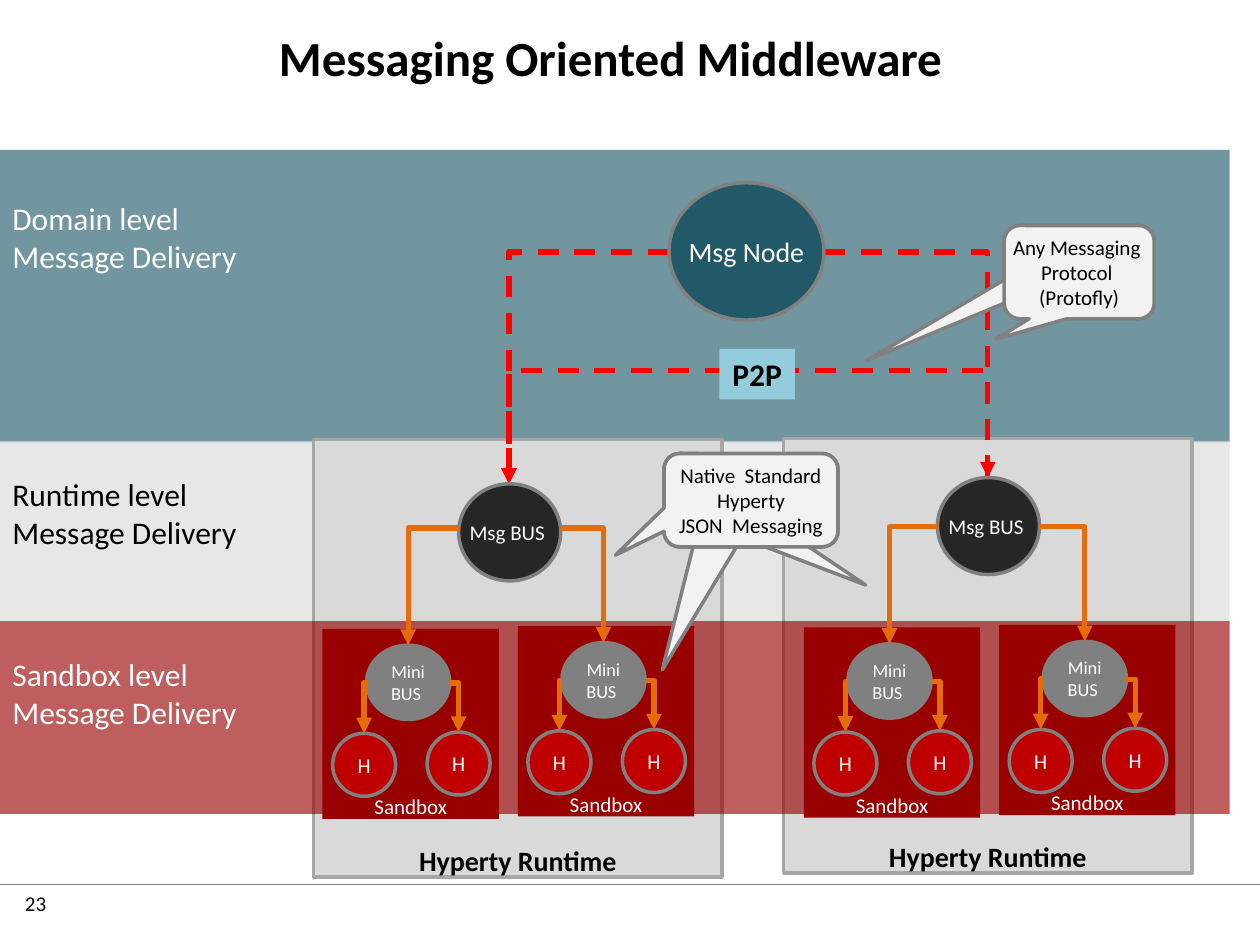
from dataclasses import dataclass

import pptx
import pptx.dml.color
import pptx.enum.dml
import pptx.enum.shapes
import pptx.enum.text
import pptx.oxml.ns
import pptx.util
from lxml import etree

Inches = pptx.util.Inches
SHAPE = pptx.enum.shapes.MSO_SHAPE
ELBOW = pptx.enum.shapes.MSO_CONNECTOR.ELBOW
ALIGN = pptx.enum.text.PP_ALIGN
ANCHOR = pptx.enum.text.MSO_ANCHOR
qn = pptx.oxml.ns.qn


@dataclass(frozen=True)
class Theme:
    """Colours, font and type sizes of the slide."""
    font: str = "Calibri"
    black: str = "000000"
    white: str = "FFFFFF"
    teal: str = "215968"
    light: str = "D9D9D9"
    dark_red: str = "990000"
    red: str = "C00000"
    signal: str = "FF0000"
    orange: str = "E46C0A"
    grey: str = "808080"
    edge: str = "A6A6A6"
    bus: str = "262626"
    callout: str = "F2F2F2"
    p2p: str = "93CDDD"
    title: float = 28
    level: float = 18
    node: float = 16
    body: float = 12
    mini: float = 10.5


T = Theme()


def rgb(value):
    """Turn a hex string into a colour."""
    return pptx.dml.color.RGBColor.from_string(value)


def write(sp, text, size=T.body, color=T.black, bold=False, align=ALIGN.CENTER,
          anchor=ANCHOR.MIDDLE, inset=0, wrap=False):
    """Write text into a shape, one paragraph per line."""
    tf = sp.text_frame
    tf.word_wrap, tf.vertical_anchor = wrap, anchor
    if inset is not None:
        tf.margin_left = tf.margin_right = tf.margin_top = tf.margin_bottom = Inches(inset)
    for i, line in enumerate(text.split("\n")):
        p = tf.paragraphs[0] if i == 0 else tf.add_paragraph()
        p.alignment = align
        r = p.add_run()
        r.text = line
        r.font.name, r.font.size, r.font.bold = T.font, pptx.util.Pt(size), bold
        r.font.color.rgb = rgb(color)


def label(s, box, text, **fmt):
    """Add a text box."""
    sp = s.shapes.add_textbox(*map(Inches, box))
    write(sp, text, **{"align": ALIGN.LEFT, "anchor": ANCHOR.TOP, "inset": None, "wrap": True, **fmt})


def shape(s, kind, box, fill, line=None, alpha=None, adj=(), text=None, **fmt):
    """Add a filled preset shape with optional outline and text."""
    sp = s.shapes.add_shape(kind, *map(Inches, box))
    sp.shadow.inherit = False
    sp.fill.solid()
    sp.fill.fore_color.rgb = rgb(fill)
    if alpha:
        color = sp.fill._xPr.find(".//" + qn("a:srgbClr"))
        etree.SubElement(color, qn("a:alpha"), val=str(alpha * 1000))
    if line:
        sp.line.color.rgb = rgb(line)
        sp.line.width = pptx.util.Pt(2)
    else:
        sp.line.fill.background()
    for i, value in enumerate(adj):
        sp.adjustments[i] = value
    if text:
        write(sp, text, **fmt)
    return sp


def connector(s, kind, start, end, color, width=3.0, dash=False, arrow=None):
    """Add a connector with an optional arrowhead."""
    c = s.shapes.add_connector(kind, *map(Inches, (*start, *end)))
    c.line.color.rgb = rgb(color)
    c.line.width = pptx.util.Pt(width)
    if dash:
        c.line.dash_style = pptx.enum.dml.MSO_LINE.DASH
    if arrow:
        etree.SubElement(c.line._get_or_add_ln(), qn(arrow), type="triangle")
    etree.SubElement(c._element.spPr, qn("a:effectLst"))
    return c


def bend(s, start, end, color, dash=False):
    """Add an arrow that runs sideways and then down."""
    c = connector(s, ELBOW, start, end, color, dash=dash, arrow="a:tailEnd")
    c._element.spPr.find(qn("a:prstGeom")).set("prst", "bentConnector2")


def bridge(s, left, right, top):
    """Add a dashed connector rising from two feet to a shared top."""
    (x1, y1), (x2, y2) = left, right
    cx, cy, w, h = (x1 + x2) / 2, (y1 + y2) / 2, y1 - y2, x2 - x1
    c = connector(s, ELBOW, (cx + w / 2, cy + h / 2), (cx - w / 2, cy - h / 2),
                  T.signal, dash=True, arrow="a:headEnd")
    c._element.spPr.find(qn("a:xfrm")).set("rot", "5400000")
    guides = c._element.spPr.find(qn("a:prstGeom")).get_or_add_avLst()
    etree.SubElement(guides, qn("a:gd"), name="adj1", fmla=f"val {round((y1 - top) / w * 100000)}")


def sandbox(s, box):
    """Place a sandbox with its mini bus and two hyperties."""
    x, y = box[:2]
    shape(s, SHAPE.RECTANGLE, box, T.dark_red, text="Sandbox", color=T.white, anchor=ANCHOR.BOTTOM)
    shape(s, SHAPE.OVAL, (x + 0.35, y + 0.13, 0.66, 0.59), T.grey, T.grey,
          text="Mini\nBUS ", size=T.mini, color=T.white)
    for dx, dy, side in ((0.83, 0.82, 1.01), (0.08, 0.83, 0.35)):
        shape(s, SHAPE.OVAL, (x + dx, y + dy, 0.5, 0.5), T.red, T.grey, text="H", color=T.white)
        bend(s, (x + side, y + 0.43), (x + dx + 0.25, y + dy), T.orange)


def runtime(s, box, inset, bus):
    """Place the message bus and two sandboxes of a runtime."""
    x, y = box[:2]
    bx, by = bus
    shape(s, SHAPE.OVAL, (bx, by, 0.81, 0.77), T.bus, T.grey, text="Msg BUS ", color=T.white)
    for i, side in enumerate((bx, bx + 0.81)):
        left, top = x + inset + 1.55 * i, y + 1.5 - 0.02 * i
        sandbox(s, (left, top, 1.4, 1.51))
        bend(s, (side, y + 0.7), (left + 0.68, top + 0.13), T.orange)


def band(s, box, fill, text, color, top):
    """Place a translucent level band with its label."""
    shape(s, SHAPE.RECTANGLE, box, fill, alpha=63)
    return (box[0], top, 2.27, 0.71), text, color


def callout(s, box, tips, text):
    """Place a speech bubble whose tails point at several tips."""
    for i, tip in enumerate(tips):
        shape(s, SHAPE.ROUNDED_RECTANGULAR_CALLOUT, box, T.callout, T.grey, adj=(*tip, 0.167),
              text=text if i == len(tips) - 1 else None)


def domain(s, buses):
    """Place the message node and the dashed links to the buses."""
    feet = [(x + 0.4, y) for x, y in buses]
    for side, foot in zip((5.31, 6.54), feet):
        bend(s, (side, 2), foot, T.signal, dash=True)
    shape(s, SHAPE.OVAL, (5.31, 1.45, 1.23, 1.09), T.teal, T.grey,
          text="Msg Node", size=T.node, color=T.white)
    bridge(s, *feet, top=2.94)


def frame(s):
    """Place the title, the footer rule and the page number."""
    label(s, (0.1, 7.02, 0.8, 0.4), "23")
    connector(s, pptx.enum.shapes.MSO_CONNECTOR.STRAIGHT, (0, 7.02), (10, 7.02), T.grey, 0.75)
    label(s, (0.91, 0.19, 7.87, 0.52), "Messaging Oriented Middleware", size=T.title,
          bold=True, align=ALIGN.CENTER, anchor=ANCHOR.MIDDLE)


def main():
    """Build the slide and save it."""
    prs = pptx.Presentation()
    prs.slide_width, prs.slide_height = Inches(10), Inches(7.5)
    s = prs.slides.add_slide(prs.slide_layouts[6])
    panels = ((2.49, 3.49, 3.24, 3.47), (6.22, 3.48, 3.24, 3.45))
    buses = ((3.64, 3.84), (7.44, 3.79))
    frame(s)
    levels = [
        band(s, (0, 1.19, 9.76, 2.32), T.teal, "Domain level\nMessage Delivery", T.white, 1.53),
        band(s, (0, 3.5, 9.76, 1.43), T.light, "Runtime level\nMessage Delivery", T.black, 3.72)]
    for box in panels:
        shape(s, SHAPE.RECTANGLE, box, T.light, T.edge, text="Hyperty Runtime",
              size=T.node, bold=True, anchor=ANCHOR.BOTTOM)
    levels.append(
        band(s, (0, 4.93, 9.76, 1.53), T.dark_red, "Sandbox level\nMessage Delivery", T.white, 5.15))
    for box, text, color in levels:
        label(s, box, text, size=T.level, color=color)
    domain(s, buses)
    for box, inset, bus in zip(panels, (0.07, 0.16), buses):
        runtime(s, box, inset, bus)
    callout(s, (5.27, 3.6, 1.38, 0.74), ((-0.51, 1.82), (0.66, 0.91), (-0.78, 0.59)),
            "Native  Standard\nHyperty\nJSON  Messaging")
    callout(s, (7.97, 1.79, 1.19, 0.74), ((-1.42, 0.95), (-0.56, 0.72)),
            "Any Messaging \nProtocol \n(Protofly)")
    shape(s, SHAPE.RECTANGLE, (5.71, 2.77, 0.6, 0.4), T.p2p, text="P2P", size=T.level, bold=True)
    prs.save("out.pptx")


if __name__ == "__main__":
    main()
